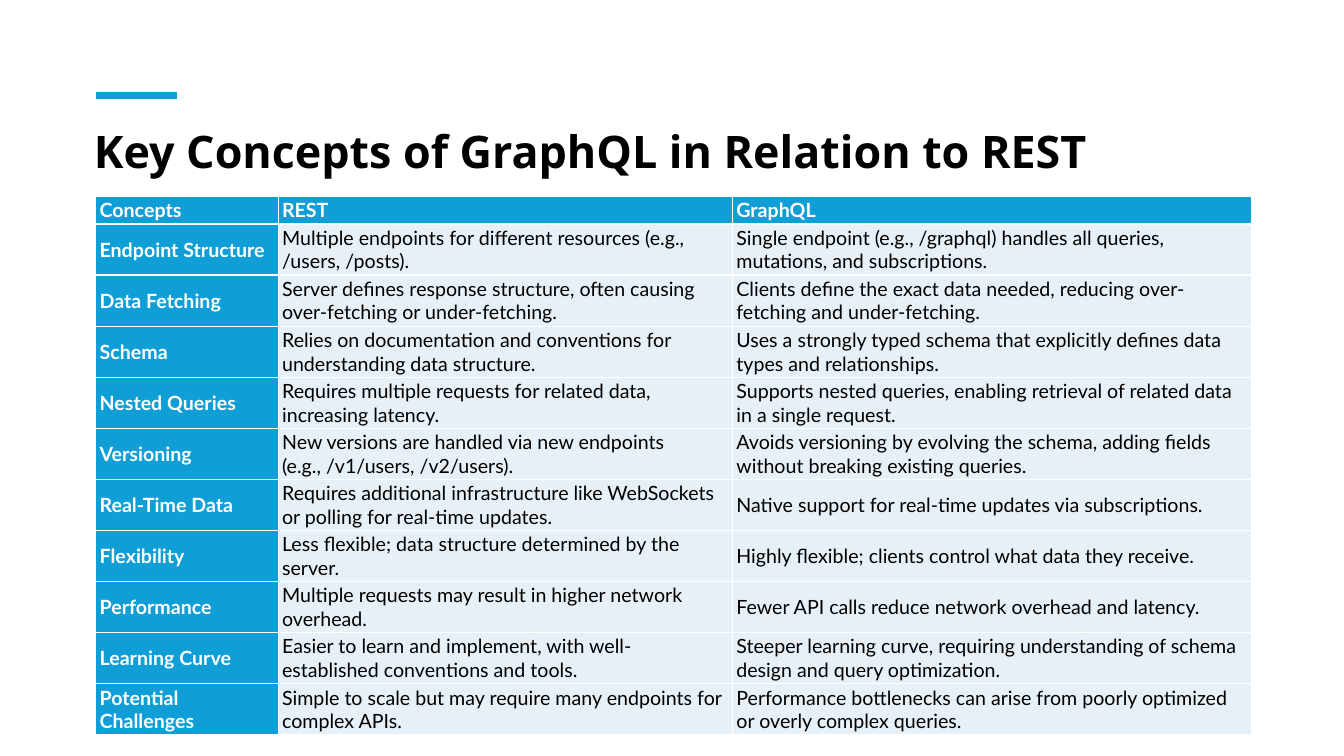
from dataclasses import dataclass

import pptx
import pptx.dml.color
import pptx.enum.shapes
import pptx.enum.text
import pptx.oxml
import pptx.util
from pptx.util import Cm


@dataclass(frozen=True)
class Theme:
    accent: str = "0F9ED5"
    body_fill: str = "E7F0F7"
    light_text: str = "FFFFFF"
    dark_text: str = "000000"
    title_font: str = "Open Sans"
    table_font: str = "Lato"
    title_size: int = 32
    table_size: int = 14


THEME = Theme()

TITLE = "Key Concepts of GraphQL in Relation to REST"
COLUMN_WIDTHS = (Cm(4.6), Cm(11.45), Cm(13.08))
HEADER_HEIGHT, BODY_HEIGHT = Cm(0.69), Cm(1.27)
LEFT_EDGE = Cm(2.41)

COMPARISON = [
    ("Concepts", "REST", "GraphQL"),
    ("Endpoint Structure",
     "Multiple endpoints for different resources (e.g., /users, /posts).",
     "Single endpoint (e.g., /graphql) handles all queries, mutations, and subscriptions."),
    ("Data Fetching",
     "Server defines response structure, often causing over-fetching or under-fetching.",
     "Clients define the exact data needed, reducing over-fetching and under-fetching."),
    ("Schema",
     "Relies on documentation and conventions for understanding data structure.",
     "Uses a strongly typed schema that explicitly defines data types and relationships."),
    ("Nested Queries",
     "Requires multiple requests for related data, increasing latency.",
     "Supports nested queries, enabling retrieval of related data in a single request."),
    ("Versioning",
     "New versions are handled via new endpoints (e.g., /v1/users, /v2/users).",
     "Avoids versioning by evolving the schema, adding fields without breaking existing queries."),
    ("Real-Time Data",
     "Requires additional infrastructure like WebSockets or polling for real-time updates.",
     "Native support for real-time updates via subscriptions."),
    ("Flexibility",
     "Less flexible; data structure determined by the server.",
     "Highly flexible; clients control what data they receive."),
    ("Performance",
     "Multiple requests may result in higher network overhead.",
     "Fewer API calls reduce network overhead and latency."),
    ("Learning Curve",
     "Easier to learn and implement, with well-established conventions and tools.",
     "Steeper learning curve, requiring understanding of schema design and query optimization."),
    ("Potential Challenges",
     "Simple to scale but may require many endpoints for complex APIs.",
     "Performance bottlenecks can arise from poorly optimized or overly complex queries."),
]


def rgb(color):
    return pptx.dml.color.RGBColor.from_string(color)


def set_font(paragraph, name, size, color, bold):
    font = paragraph.font
    font.name = name
    font.size = pptx.util.Pt(size)
    font.color.rgb = rgb(color)
    font.bold = bold


def set_title(slide, text):
    title = slide.shapes.title
    title.left, title.top, title.width, title.height = Cm(2.11), Cm(3.15), Cm(27.05), Cm(3.07)
    frame = title.text_frame
    frame.text = text
    frame.word_wrap = True
    frame.auto_size = pptx.enum.text.MSO_AUTO_SIZE.NONE
    frame.vertical_anchor = pptx.enum.text.MSO_ANCHOR.TOP
    paragraph = frame.paragraphs[0]
    paragraph.alignment = pptx.enum.text.PP_ALIGN.LEFT
    paragraph.line_spacing = 0.9
    set_font(paragraph, THEME.title_font, THEME.title_size, THEME.dark_text, True)


def add_accent_line(slide):
    top = Cm(2.41)
    line = slide.shapes.add_connector(
        pptx.enum.shapes.MSO_CONNECTOR.STRAIGHT, LEFT_EDGE, top, LEFT_EDGE + Cm(2.04), top)
    line.line.color.rgb = rgb(THEME.accent)
    line.line.width = pptx.util.Pt(4.5)
    properties = line._element.spPr
    properties.append(pptx.oxml.parse_xml(
        '<a:effectLst xmlns:a="http://schemas.openxmlformats.org/drawingml/2006/main"/>'))


def fill_cell(cell, text, is_heading):
    cell.text = text
    cell.vertical_anchor = pptx.enum.text.MSO_ANCHOR.MIDDLE
    cell.margin_left = cell.margin_right = Cm(0.1)
    cell.margin_top = cell.margin_bottom = Cm(0.05)
    cell.fill.solid()
    cell.fill.fore_color.rgb = rgb(THEME.accent if is_heading else THEME.body_fill)
    color = THEME.light_text if is_heading else THEME.dark_text
    set_font(cell.text_frame.paragraphs[0], THEME.table_font, THEME.table_size, color, is_heading)


def add_comparison_table(slide, rows):
    """Add the table; its white rules come from the default table style."""
    height = HEADER_HEIGHT + BODY_HEIGHT * (len(rows) - 1)
    table = slide.shapes.add_table(
        len(rows), len(COLUMN_WIDTHS), LEFT_EDGE, Cm(4.95), sum(COLUMN_WIDTHS), height).table
    table.first_col = True
    table.horz_banding = False
    for column, width in zip(table.columns, COLUMN_WIDTHS):
        column.width = width
    for row_index, texts in enumerate(rows):
        table.rows[row_index].height = BODY_HEIGHT if row_index else HEADER_HEIGHT
        for column_index, text in enumerate(texts):
            is_heading = row_index == 0 or column_index == 0
            fill_cell(table.cell(row_index, column_index), text, is_heading)


def main():
    presentation = pptx.Presentation()
    presentation.slide_width, presentation.slide_height = Cm(33.87), Cm(19.05)
    slide = presentation.slides.add_slide(presentation.slide_layouts.get_by_name("Title Only"))
    set_title(slide, TITLE)
    add_accent_line(slide)
    add_comparison_table(slide, COMPARISON)
    presentation.save("out.pptx")


if __name__ == "__main__":
    main()
